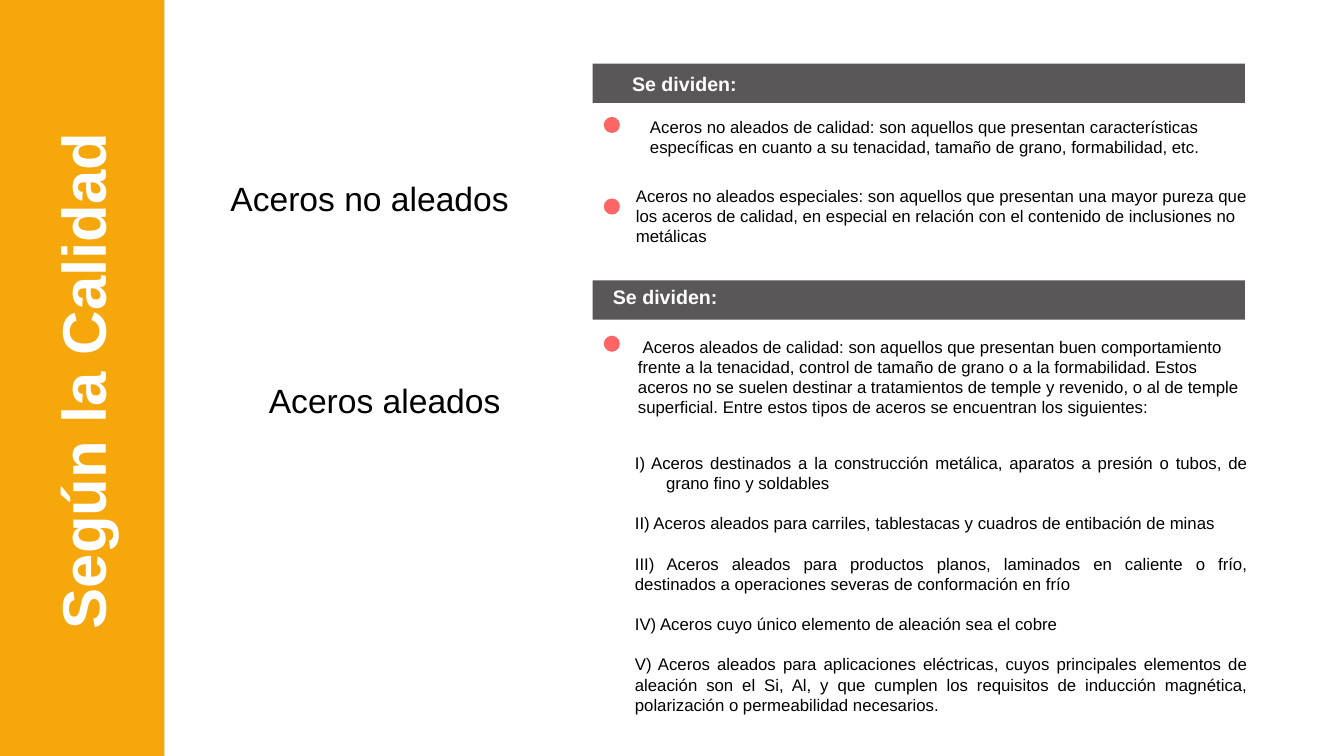
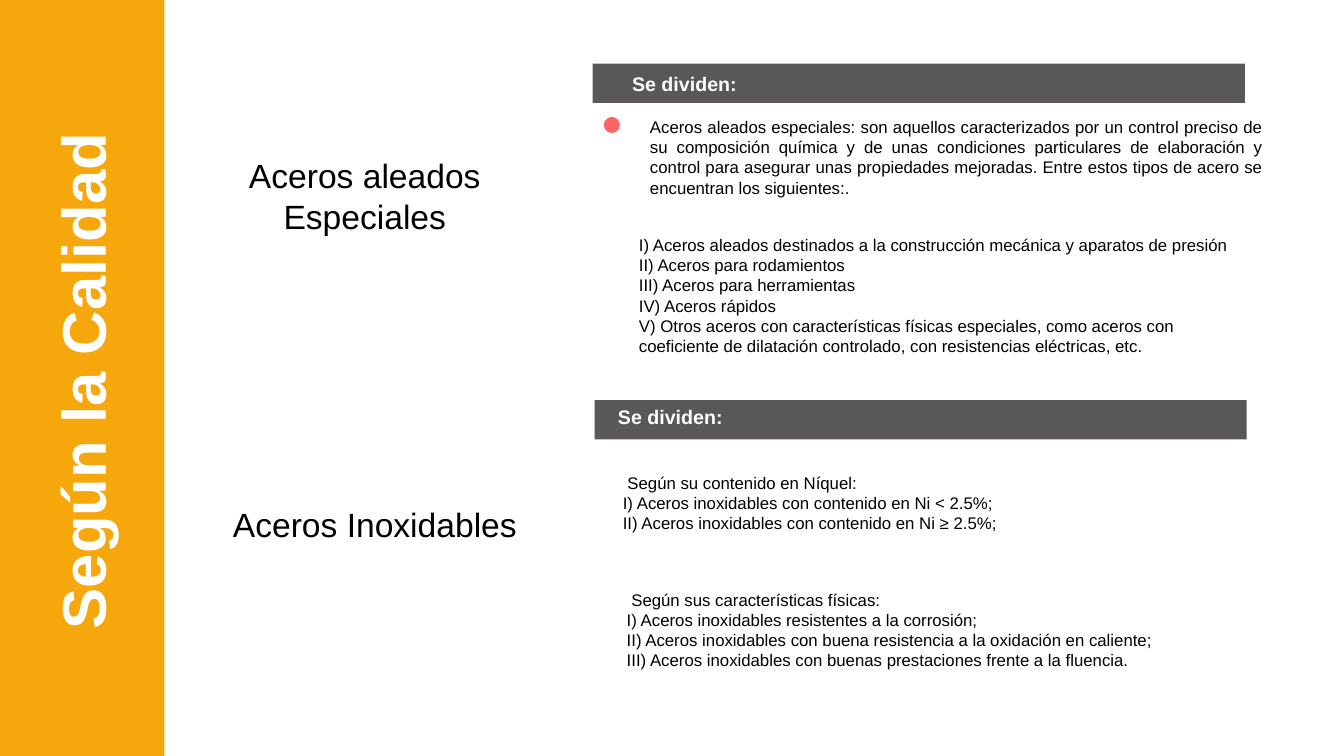
from pptx import Presentation
from pptx.dml.color import RGBColor
from pptx.enum import shapes, text
from pptx.util import Pt


class Theme:
    font = "Arial"
    band = RGBColor(0xF5, 0xA7, 0x0B)
    bar = RGBColor(0x59, 0x57, 0x57)
    dot = RGBColor(0xFF, 0x65, 0x65)
    white = RGBColor(0xFF, 0xFF, 0xFF)
    black = RGBColor(0, 0, 0)
    title_size, topic_size, bar_size, body_size = 44, 24, 14, 12


LEFT, JUSTIFY, CENTER = text.PP_ALIGN.LEFT, text.PP_ALIGN.JUSTIFY, text.PP_ALIGN.CENTER
TITLE = "Según la Calidad"
BAR_TEXT = "Se dividen:"
BAR_W, BAR_H = 465.8, 28.1
BODY_W = 452.2
TOPIC_W = 259.2
DOT_X, DOT_SIZE = 431.3, 11.5
LINE = 14.4  # height of one body line
NONE, FIRST_LINE, HANGING = (0, 0), (0, 3.3), (22.3, -22.3)  # left margin, indent

# bars: x, y, left inset, bottom inset
# topics: x, y, text
# bodies: x, y, lines high, alignment, gap, indent of first paragraph, paragraphs
SLIDES = [
    dict(
        bars=[(423.4, 45.4, 28.1, 0), (423.4, 200.2, 14.4, 4.3)],
        topics=[(134.4, 123.8, "Aceros no aleados"), (145.2, 267.8, "Aceros aleados")],
        dots=[83.5, 141.8, 239.8],
        bodies=[
            (457.2, 79.9, 2, LEFT, 0, NONE, [
                "Aceros no aleados de calidad: son aquellos que presentan características "
                "específicas en cuanto a su tenacidad, tamaño de grano, formabilidad, etc."]),
            (447.1, 128.9, 3, LEFT, 0, NONE, [
                "Aceros no aleados especiales: son aquellos que presentan una mayor pureza "
                "que los aceros de calidad, en especial en relación con el contenido de "
                "inclusiones no metálicas"]),
            (448.6, 236.9, 4, LEFT, 0, FIRST_LINE, [
                "Aceros aleados de calidad: son aquellos que presentan buen comportamiento "
                "frente a la tenacidad, control de tamaño de grano o a la formabilidad. "
                "Estos aceros no se suelen destinar a tratamientos de temple y revenido, o "
                "al de temple superficial. Entre estos tipos de aceros se encuentran los "
                "siguientes:"]),
            (446.4, 319.7, 13, JUSTIFY, LINE, HANGING, [
                "I) Aceros destinados a la construcción metálica, aparatos a presión o "
                "tubos, de grano fino y soldables",
                "II) Aceros aleados para carriles, tablestacas y cuadros de entibación de "
                "minas",
                "III) Aceros aleados para productos planos, laminados en caliente o frío, "
                "destinados a operaciones severas de conformación en frío",
                "IV) Aceros cuyo único elemento de aleación sea el cobre",
                "V) Aceros aleados para aplicaciones eléctricas, cuyos principales "
                "elementos de aleación son el Si, Al, y que cumplen los requisitos de "
                "inducción magnética, polarización o permeabilidad necesarios."]),
        ],
    ),
    dict(
        bars=[(423.4, 45.4, 28.1, 0), (424.8, 285.8, 16.6, 4.3)],
        topics=[(131, 107.3, "Aceros aleados Especiales"), (138.2, 356.4, "Aceros Inoxidables")],
        dots=[83.5],
        bodies=[
            (457.2, 79.9, 4, JUSTIFY, 0, NONE, [
                "Aceros aleados especiales: son aquellos caracterizados por un control "
                "preciso de su composición química y de unas condiciones particulares de "
                "elaboración y control para asegurar unas propiedades mejoradas. Entre "
                "estos tipos de acero se encuentran los siguientes:."]),
            (449.3, 164.2, 6, LEFT, 0, NONE, [
                "I) Aceros aleados destinados a la construcción mecánica y aparatos de "
                "presión",
                "II) Aceros para rodamientos",
                "III) Aceros para herramientas",
                "IV) Aceros rápidos",
                "V) Otros aceros con características físicas especiales, como aceros con "
                "coeficiente de dilatación controlado, con resistencias eléctricas, etc."]),
            (437.8, 334.1, 3, LEFT, 0, FIRST_LINE, [
                "Según su contenido en Níquel:",
                "I) Aceros inoxidables con contenido en Ni < 2.5%;",
                "II) Aceros inoxidables con contenido en Ni ≥ 2.5%;"]),
            (440.6, 417.6, 4, LEFT, 0, FIRST_LINE, [
                "Según sus características físicas:",
                "I) Aceros inoxidables resistentes a la corrosión;",
                "II) Aceros inoxidables con buena resistencia a la oxidación en caliente;",
                "III) Aceros inoxidables con buenas prestaciones frente a la fluencia."]),
        ],
    ),
]


def add_solid(slide, kind, x, y, w, h, color):
    """Add a plain filled shape without outline or shadow."""
    sp = slide.shapes.add_shape(kind, Pt(x), Pt(y), Pt(w), Pt(h))
    sp.shadow.inherit = False
    sp.fill.solid()
    sp.fill.fore_color.rgb = color
    sp.line.fill.background()
    return sp


def write(sp, paragraphs, size, color=Theme.black, bold=False, align=LEFT,
          gap=0, first=NONE, wrap=True):
    """Fill a shape with paragraphs; first is the first one's margin and indent."""
    tf = sp.text_frame
    tf.word_wrap = wrap
    for i, line in enumerate(paragraphs):
        p = tf.add_paragraph() if i else tf.paragraphs[0]
        p.text = line
        p.alignment = align
        if i:
            p.space_before = Pt(gap)
        elif first != NONE:
            pPr = p._p.get_or_add_pPr()
            pPr.set("marL", str(Pt(first[0])))
            pPr.set("indent", str(Pt(first[1])))
        p.font.name = Theme.font
        p.font.size = Pt(size)
        p.font.bold = bold
        p.font.color.rgb = color


prs = Presentation()
prs.slide_width, prs.slide_height = Pt(960), Pt(540)
RECT, OVAL = shapes.MSO_SHAPE.RECTANGLE, shapes.MSO_SHAPE.OVAL

for content in SLIDES:
    s = prs.slides.add_slide(prs.slide_layouts[6])
    add_solid(s, RECT, 0, 0, 117.4, 540, Theme.band)

    title = s.shapes.add_textbox(Pt(-128.2), Pt(239.8), Pt(373), Pt(60.5))
    title.rotation = 270
    write(title, [TITLE], Theme.title_size, Theme.white, bold=True, wrap=False)

    for x, y, left, bottom in content["bars"]:
        bar = add_solid(s, RECT, x, y, BAR_W, BAR_H, Theme.bar)
        write(bar, [BAR_TEXT], Theme.bar_size, Theme.white, bold=True)
        tf = bar.text_frame
        tf.vertical_anchor = text.MSO_ANCHOR.MIDDLE
        tf.margin_left, tf.margin_top, tf.margin_bottom = Pt(left), 0, Pt(bottom)

    for x, y, topic in content["topics"]:
        box = s.shapes.add_textbox(Pt(x), Pt(y), Pt(TOPIC_W), Pt(36))
        write(box, [topic], Theme.topic_size, align=CENTER)

    for y in content["dots"]:
        add_solid(s, OVAL, DOT_X, y, DOT_SIZE, DOT_SIZE, Theme.dot)

    for x, y, lines, align, gap, first, paragraphs in content["bodies"]:
        box = s.shapes.add_textbox(Pt(x), Pt(y), Pt(BODY_W), Pt(lines * LINE + 7.2))
        write(box, paragraphs, Theme.body_size, align=align, gap=gap, first=first)

prs.save("out.pptx")
